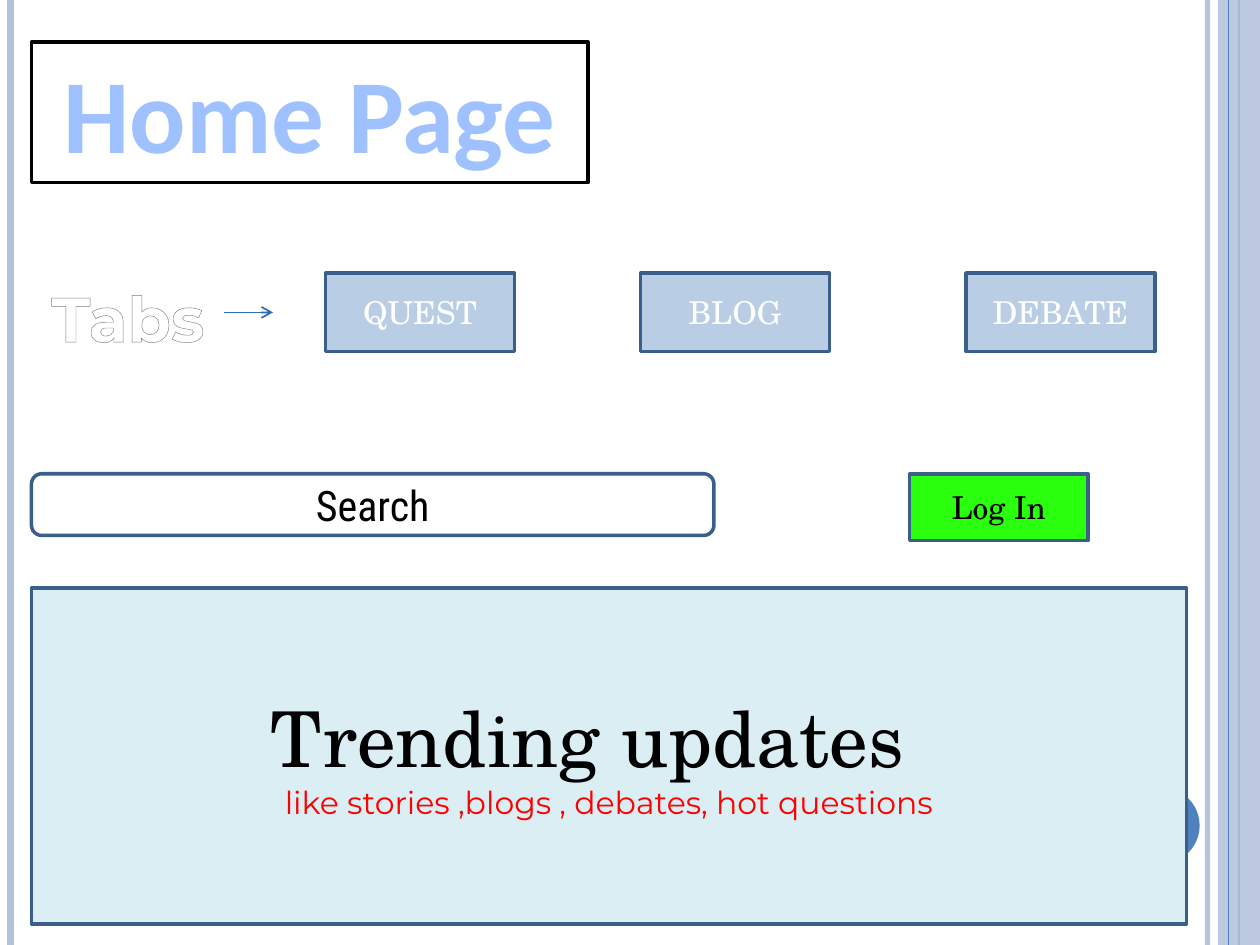
from dataclasses import dataclass

from lxml import etree
from pptx import Presentation
from pptx import util as u
from pptx.dml.color import RGBColor
from pptx.enum import shapes, text
from pptx.oxml.ns import qn


@dataclass(frozen=True)
class Theme:
    white: str = "FFFFFF"
    black: str = "000000"
    rail: str = "B3C1DB"
    accent: str = "4F81BD"
    border: str = "3A5F8C"
    arrow: str = "2C6CB9"
    tab: str = "B9CDE5"
    login: str = "2AFF0D"
    panel: str = "DBEEF4"
    alert: str = "FF0000"
    title_shades: tuple = ("BFD3F9", "A0C1FF", "003D85", "A0C1FF", "BFD3F9")
    title_outline: str = "467AB8"
    label_shades: tuple = ("FFFFFF", "FFFFFF", "7F7F7F", "FFFFFF", "FFFFFF")
    label_outline: str = "7D7D7D"
    shade_stops: tuple = (0, 9, 50, 79, 100)
    serif: str = "TeX Gyre Schola"
    sans: str = "Montserrat"
    heading: str = "Calibri"
    condensed: str = "Roboto Condensed"
    title_size: int = 60
    trending_size: int = 44
    label_size: int = 36
    search_size: int = 24
    body_size: int = 18


class Page:
    scale = 9525

    def __init__(self, theme, width, height):
        self.theme = theme
        self.deck = Presentation()
        self.deck.slide_width, self.deck.slide_height = self.px(width, height)
        self.slide = self.deck.slides.add_slide(self.deck.slide_layouts[6])

    def px(self, *lengths):
        return [u.Emu(length * self.scale) for length in lengths]

    def apply(self, target, **formats):
        for name, value in formats.items():
            setattr(target, name, value)

    def solid(self, fill, color, alpha=100):
        fill.solid()
        fill.fore_color.rgb = RGBColor.from_string(color)
        if alpha < 100:
            tint = fill._xPr.find(qn("a:solidFill"))[0]
            etree.SubElement(tint, qn("a:alpha"), val=str(alpha * 1000))

    def line(self, start, end, color, weight, alpha=100, arrow=False):
        rule = self.slide.shapes.add_connector(
            shapes.MSO_CONNECTOR.STRAIGHT, *self.px(*start, *end))
        rule.line.width = u.Pt(weight)
        self.solid(rule.line.fill, color, alpha)
        if arrow:
            etree.SubElement(rule.line._get_or_add_ln(), qn("a:tailEnd"), type="arrow")
        etree.SubElement(rule._element.spPr, qn("a:effectLst"))

    def shape(self, box, fill, border=None, kind="RECTANGLE", alpha=100):
        figure = self.slide.shapes.add_shape(
            getattr(shapes.MSO_SHAPE, kind), *self.px(*box))
        figure.shadow.inherit = False
        self.solid(figure.fill, fill, alpha)
        if border:
            self.solid(figure.line.fill, border)
            figure.line.width = u.Pt(2)
        else:
            figure.line.fill.background()
        return figure

    def textbox(self, box):
        return self.slide.shapes.add_textbox(*self.px(*box))

    def caption(self, holder, *lines):
        frame = holder.text_frame
        self.apply(frame, word_wrap=True, vertical_anchor=text.MSO_ANCHOR.MIDDLE)
        for index, (words, size, face, color) in enumerate(lines):
            paragraph = frame.add_paragraph() if index else frame.paragraphs[0]
            paragraph.alignment = text.PP_ALIGN.CENTER
            run = paragraph.add_run()
            run.text = words
            self.apply(run.font, size=u.Pt(size), name=face)
            self.solid(run.font.fill, color)

    def wordart(self, holder, words, size, face, shades, outline):
        self.caption(holder, (words, size, face, outline))
        frame = holder.text_frame
        self.apply(frame, word_wrap=False, vertical_anchor=text.MSO_ANCHOR.TOP,
                   auto_size=text.MSO_AUTO_SIZE.SHAPE_TO_FIT_TEXT)
        font = frame.paragraphs[0].runs[0].font
        font.bold = True
        properties = font._element
        properties.remove(properties.find(qn("a:solidFill")))
        edge = etree.Element(qn("a:ln"), w=str(u.Pt(0.83)))
        edge_fill = etree.SubElement(edge, qn("a:solidFill"))
        etree.SubElement(edge_fill, qn("a:srgbClr"), val=outline)
        gradient = etree.Element(qn("a:gradFill"))
        stops = etree.SubElement(gradient, qn("a:gsLst"))
        for position, shade in zip(self.theme.shade_stops, shades):
            stop = etree.SubElement(stops, qn("a:gs"), pos=str(position * 1000))
            etree.SubElement(stop, qn("a:srgbClr"), val=shade)
        etree.SubElement(gradient, qn("a:lin"), ang="5400000")
        properties.insert(0, edge)
        properties.insert(1, gradient)


def main():
    theme = Theme()
    page = Page(theme, 960, 720)

    def rail(x, color, weight, alpha=100):
        page.line((x, 0), (x, 720), color, weight, alpha)

    rail(920, theme.rail, 3, 93)
    rail(8, theme.rail, 4.5)
    rail(944, theme.accent, 1.5)
    page.shape((928, 0, 32, 720), theme.rail, alpha=87)
    rail(936, theme.accent, 0.75)
    page.shape((856, 600, 58, 58), theme.accent, kind="OVAL")

    title = page.shape((24, 32, 424, 107), theme.white, theme.black)
    page.wordart(title, "Home Page", theme.title_size, theme.heading,
                 theme.title_shades, theme.title_outline)

    tabs_label = page.textbox((24, 208, 147, 68))
    page.wordart(tabs_label, "Tabs", theme.label_size, theme.sans,
                 theme.label_shades, theme.label_outline)
    page.line((171, 238), (208, 238), theme.arrow, 1, arrow=True)

    for name, left in (("QUEST", 248), ("BLOG", 488), ("DEBATE", 736)):
        tab = page.shape((left, 208, 144, 60), theme.tab, theme.border)
        page.caption(tab, (name, theme.body_size, theme.serif, theme.white))

    search = page.shape((24, 361, 520, 47), theme.white, theme.border, "ROUNDED_RECTANGLE")
    page.caption(search, ("Search", theme.search_size, theme.condensed, theme.black))

    login = page.shape((693, 361, 136, 51), theme.login, theme.border)
    page.caption(login, ("Log In", theme.body_size, theme.serif, theme.black))

    trending = page.shape((24, 448, 880, 256), theme.panel, theme.border)
    page.caption(
        trending,
        ("Trending updates  ", theme.trending_size, theme.serif, theme.black),
        ("like stories ,blogs , debates, hot questions", theme.body_size, theme.sans, theme.alert))

    page.deck.save("out.pptx")


if __name__ == "__main__":
    main()
